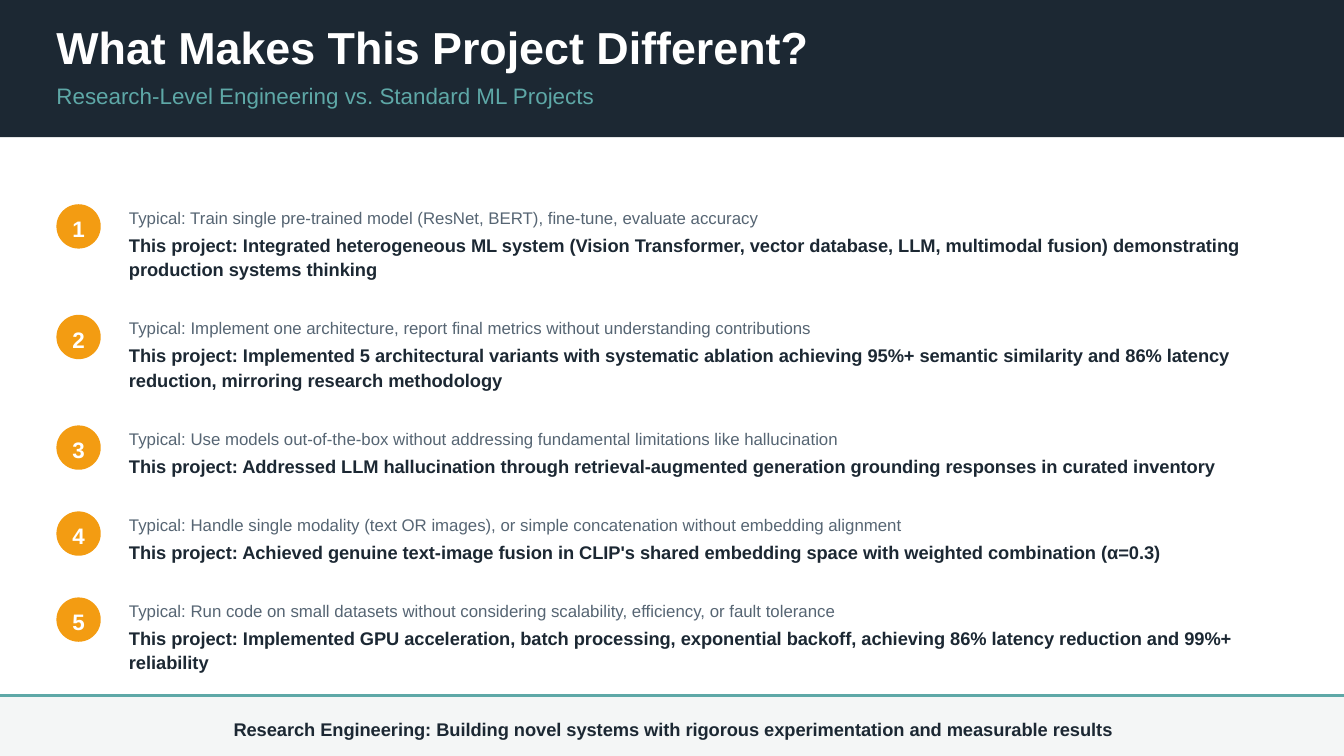
from pptx import Presentation
from pptx.dml.color import RGBColor
from pptx.enum.shapes import MSO_CONNECTOR, MSO_SHAPE
from pptx.enum.text import MSO_ANCHOR, PP_ALIGN
from pptx.oxml.ns import qn
from pptx.util import Inches, Pt
from lxml.etree import SubElement

NAVY, TEAL, ORANGE = "1C2833", "5EA8A7", "F39C12"
GRAY, PALE, WHITE = "566573", "F4F6F6", "FFFFFF"
WIDTH = 10
HEIGHT = WIDTH * 9 / 16
BODY_PT, LINE_PT = 9.75, 13.16

# Typical approach, this project's approach, number of lines the latter takes
COMPARISONS = [
    ("Train single pre-trained model (ResNet, BERT), fine-tune, evaluate accuracy",
     "Integrated heterogeneous ML system (Vision Transformer, vector database, LLM, "
     "multimodal fusion) demonstrating production systems thinking", 2),
    ("Implement one architecture, report final metrics without understanding contributions",
     "Implemented 5 architectural variants with systematic ablation achieving 95%+ semantic "
     "similarity and 86% latency reduction, mirroring research methodology", 2),
    ("Use models out-of-the-box without addressing fundamental limitations like hallucination",
     "Addressed LLM hallucination through retrieval-augmented generation grounding "
     "responses in curated inventory", 1),
    ("Handle single modality (text OR images), or simple concatenation without embedding alignment",
     "Achieved genuine text-image fusion in CLIP's shared embedding space with weighted "
     "combination (α=0.3)", 1),
    ("Run code on small datasets without considering scalability, efficiency, or fault tolerance",
     "Implemented GPU acceleration, batch processing, exponential backoff, achieving 86% "
     "latency reduction and 99%+ reliability", 2),
]


def color(value):
    return RGBColor.from_string(value)


def write(sp, text, size, fill, spacing, bold=False, align=PP_ALIGN.LEFT,
          anchor=MSO_ANCHOR.TOP):
    """Put one formatted paragraph in a shape; spacing is the line height in points."""
    tf = sp.text_frame
    tf.word_wrap = True
    tf.margin_left = tf.margin_right = tf.margin_top = tf.margin_bottom = 0
    tf.vertical_anchor = anchor
    p = tf.paragraphs[0]
    p.alignment = align
    p.line_spacing = Pt(spacing)
    r = p.add_run()
    r.text = text
    r.font.name = "Arial"
    r.font.size = Pt(size)
    r.font.bold = bold
    r.font.color.rgb = color(fill)


def add_text(slide, x, y, w, h, text, **fmt):
    sp = slide.shapes.add_textbox(Inches(x), Inches(y), Inches(w), Inches(h))
    write(sp, text, **fmt)


def add_block(slide, x, y, w, h, fill, preset=MSO_SHAPE.RECTANGLE):
    sp = slide.shapes.add_shape(preset, Inches(x), Inches(y), Inches(w), Inches(h))
    sp.shadow.inherit = False
    sp.fill.solid()
    sp.fill.fore_color.rgb = color(fill)
    sp.line.fill.background()
    return sp


def add_rule(slide, x, y, w):
    line = slide.shapes.add_connector(MSO_CONNECTOR.STRAIGHT, Inches(x), Inches(y),
                                      Inches(x + w), Inches(y))
    line.line.color.rgb = color(TEAL)
    line.line.width = Pt(1.5)
    SubElement(line._element.spPr, qn("a:effectLst"))


def add_header(slide, x, y, w, h):
    add_block(slide, x, y, w, h, NAVY)
    add_text(slide, x + 0.42, y + 0.21, 5.71, 0.33, "What Makes This Project Different?",
             size=24, fill=WHITE, spacing=24, bold=True)
    add_text(slide, x + 0.42, y + 0.58, 9.35, 0.23,
             "Research-Level Engineering vs. Standard ML Projects",
             size=12, fill=TEAL, spacing=16.8)


def add_comparison(slide, x, y, w, number, typical, project, lines):
    badge = add_block(slide, x, y, 0.33, 0.33, ORANGE, MSO_SHAPE.ROUNDED_RECTANGLE)
    badge.adjustments[0] = 0.5
    write(badge, str(number), size=12, fill=WHITE, spacing=16.8, bold=True,
          align=PP_ALIGN.CENTER, anchor=MSO_ANCHOR.MIDDLE)
    indent = 0.54
    add_text(slide, x + indent, y, w - indent, 0.17, f"Typical: {typical}",
             size=9, fill=GRAY, spacing=12.6)
    add_text(slide, x + indent, y + 0.2, w - indent, lines * LINE_PT / 72,
             f"This project: {project}", size=BODY_PT, fill=NAVY, spacing=LINE_PT, bold=True)


def add_comparisons(slide, x, y, w):
    """Stack the rows; each extra line of text pushes the next row down."""
    for number, (typical, project, lines) in enumerate(COMPARISONS, 1):
        add_comparison(slide, x, y, w, number, typical, project, lines)
        y += 0.64 + (lines - 1) * LINE_PT / 72


def add_footer(slide, x, y, w, h):
    add_block(slide, x, y, w, h, PALE)
    add_rule(slide, x, y + 0.01, w)
    add_text(slide, x + 0.33, y + 0.15, 9.35, 0.19,
             "Research Engineering: Building novel systems with rigorous experimentation "
             "and measurable results",
             size=BODY_PT, fill=NAVY, spacing=13.65, bold=True, align=PP_ALIGN.CENTER)


def main():
    prs = Presentation()
    prs.slide_width, prs.slide_height = Inches(WIDTH), Inches(HEIGHT)
    slide = prs.slides.add_slide(prs.slide_layouts[6])
    add_header(slide, 0, 0, WIDTH, 1.02)
    add_comparisons(slide, 0.42, 1.52, 9.34)
    add_footer(slide, 0, HEIGHT - 0.46, WIDTH, 0.46)
    prs.save("out.pptx")


if __name__ == "__main__":
    main()
